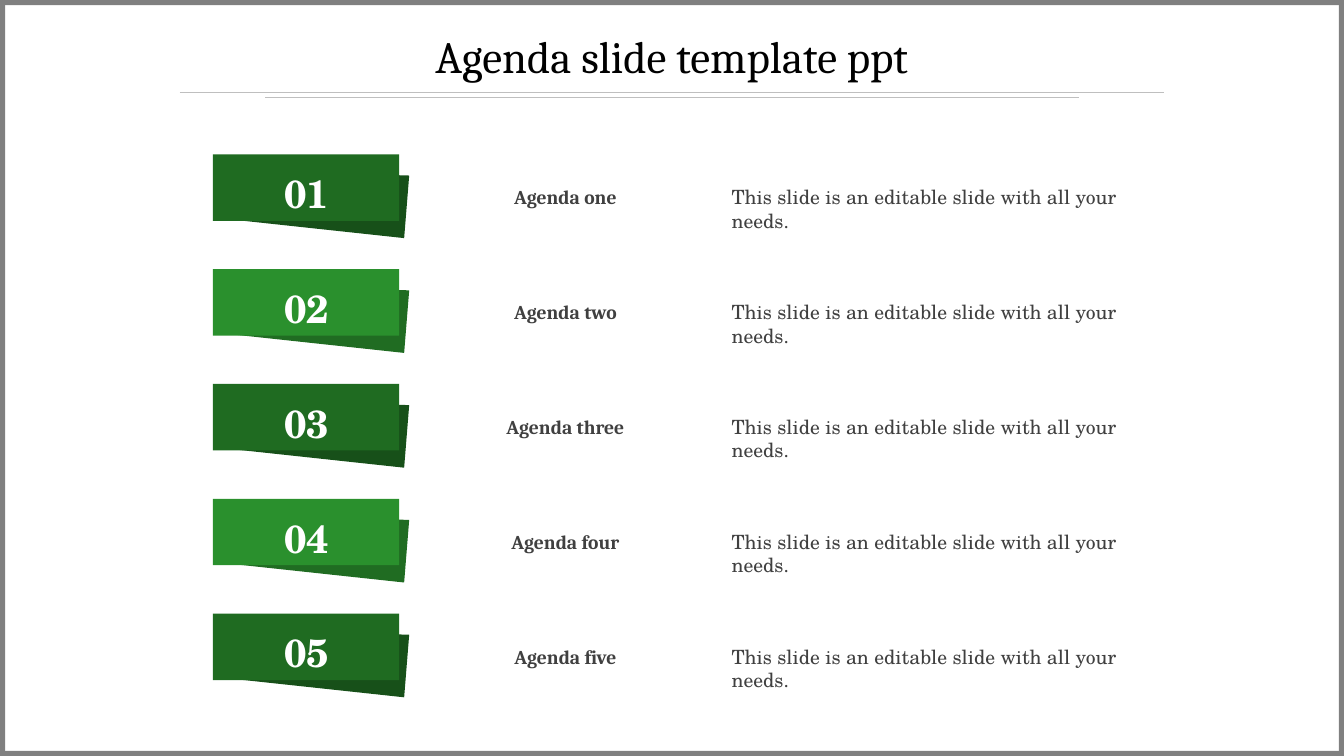
"""Build an agenda slide with five numbered green banners."""
from dataclasses import dataclass

from lxml import etree
from pptx import Presentation
from pptx.dml.color import RGBColor
from pptx.enum.shapes import MSO_CONNECTOR, MSO_SHAPE
from pptx.enum.text import PP_ALIGN
from pptx.oxml.ns import qn
from pptx.util import Pt

LEFT, CENTER = PP_ALIGN.LEFT, PP_ALIGN.CENTER
RECT, STRAIGHT = MSO_SHAPE.RECTANGLE, MSO_CONNECTOR.STRAIGHT
SERIF, SCHOOL = "Cambria", "TeX Gyre Schola"
BLACK = RGBColor(0x00, 0x00, 0x00)
WHITE = RGBColor(0xFF, 0xFF, 0xFF)
INK = RGBColor(0x40, 0x40, 0x40)
GRAY = RGBColor(0x80, 0x80, 0x80)
RULE = RGBColor(0xBF, 0xBF, 0xBF)
DARK = RGBColor(0x1F, 0x6B, 0x21)
DARK_FOLD = RGBColor(0x17, 0x50, 0x19)
LIGHT = RGBColor(0x2A, 0x90, 0x2D)
LIGHT_FOLD = RGBColor(0x20, 0x6C, 0x22)

WIDE, HIGH, EDGE = 960, 540, 3.6
TOP, PITCH = 110.3, 82
FOLD = [(161.3, 46.1), (288.7, 59.8), (292.3, 15.1), (165.6, 11.5)]
NOTE = "This slide is an editable slide with all your needs."


@dataclass(frozen=True)
class Box:
    x: float
    y: float
    w: float
    h: float

    def down(self, dy: float) -> "Box":
        return Box(self.x, self.y + dy, self.w, self.h)

    def spans(self) -> tuple:
        return Pt(self.x), Pt(self.y), Pt(self.w), Pt(self.h)


@dataclass(frozen=True)
class Style:
    font: str
    size: float
    color: RGBColor
    bold: bool = False
    align: PP_ALIGN = CENTER


@dataclass(frozen=True)
class Item:
    name: str
    face: RGBColor
    fold: RGBColor


TITLE = Style(SERIF, 32, BLACK)
NAME = Style(SERIF, 14, INK, True)
BODY = Style(SCHOOL, 14, INK, align=LEFT)
DIGIT = Style(SCHOOL, 28, WHITE, True)

FACE_BOX = Box(152, 0, 133.2, 47.5)
DIGIT_BOX = Box(193, 7.2, 51.8, 39.6)
NAME_BOX = Box(342.7, 18.5, 122.4, 23)
BODY_BOX = Box(515.5, 18.5, 332.4, 24.5)

ITEMS = [
    Item("Agenda one", DARK, DARK_FOLD),
    Item("Agenda two", LIGHT, LIGHT_FOLD),
    Item("Agenda three", DARK, DARK_FOLD),
    Item("Agenda four", LIGHT, LIGHT_FOLD),
    Item("Agenda five", DARK, DARK_FOLD),
]
EDGES = [
    Box(0, 0, EDGE, HIGH),
    Box(WIDE - EDGE, 0, EDGE, HIGH),
    Box(0, 0, WIDE, EDGE),
    Box(0, HIGH - EDGE, WIDE, EDGE),
]
RULES = [(128.5, 831.5, 65.8), (189.3, 770.7, 69.5)]


def paint(shape, color: RGBColor) -> None:
    shape.shadow.inherit = False
    shape.fill.solid()
    shape.fill.fore_color.rgb = color
    shape.line.fill.background()


def add_rect(shapes, box: Box, color: RGBColor) -> None:
    paint(shapes.add_shape(RECT, *box.spans()), color)


def add_text(shapes, box: Box, text: str, style: Style) -> None:
    frame = shapes.add_textbox(*box.spans()).text_frame
    frame.word_wrap = True
    frame.text = text
    para = frame.paragraphs[0]
    para.alignment = style.align
    font = para.runs[0].font
    font.name, font.size, font.bold = style.font, Pt(style.size), style.bold
    font.color.rgb = style.color


def add_fold(shapes, top: float, color: RGBColor) -> None:
    first, *rest = [(Pt(x), Pt(top + y)) for x, y in FOLD]
    path = shapes.build_freeform(*first)
    path.add_line_segments(rest, close=True)
    paint(path.convert_to_shape(), color)


def add_rule(shapes, start: float, end: float, y: float) -> None:
    rule = shapes.add_connector(STRAIGHT, Pt(start), Pt(y), Pt(end), Pt(y))
    rule.line.color.rgb = RULE
    rule.line.width = Pt(0.5)
    etree.SubElement(rule.line._get_or_add_ln().getparent(), qn("a:effectLst"))


def add_item(shapes, index: int, item: Item) -> None:
    top = TOP + index * PITCH
    add_text(shapes, BODY_BOX.down(top), NOTE, BODY)
    add_text(shapes, NAME_BOX.down(top), item.name, NAME)
    add_fold(shapes, top, item.fold)
    add_rect(shapes, FACE_BOX.down(top), item.face)
    add_text(shapes, DIGIT_BOX.down(top), f"{index + 1:02}", DIGIT)


def main() -> None:
    deck = Presentation()
    deck.slide_width, deck.slide_height = Pt(WIDE), Pt(HIGH)
    slide = deck.slides.add_slide(deck.slide_layouts[6])
    slide.background.fill.solid()
    slide.background.fill.fore_color.rgb = WHITE
    shapes = slide.shapes
    for index, item in enumerate(ITEMS):
        add_item(shapes.add_group_shape().shapes, index, item)
    for edge in EDGES:
        add_rect(shapes, edge, GRAY)
    for start, end, y in RULES:
        add_rule(shapes, start, end, y)
    add_text(shapes, Box(39, 16.6, 882, 46), "Agenda slide template ppt", TITLE)
    deck.save("out.pptx")


if __name__ == "__main__":
    main()
